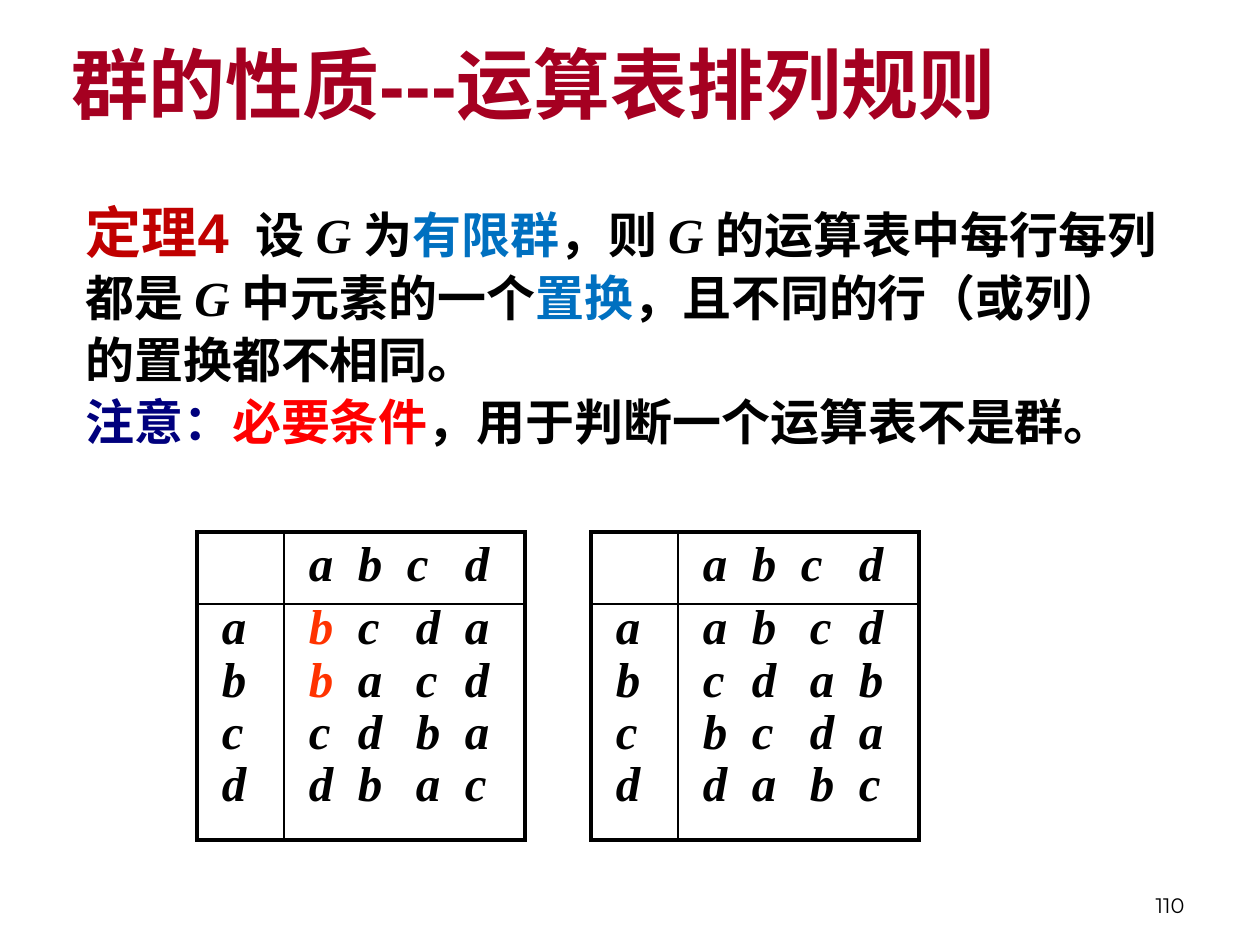
"""Build the slide on the arrangement rules of group operation tables."""
from dataclasses import dataclass

from lxml.etree import SubElement
from pptx import Presentation
from pptx.dml.color import RGBColor
from pptx.enum.text import MSO_ANCHOR, MSO_AUTO_SIZE, PP_ALIGN
from pptx.oxml.ns import qn
from pptx.util import Emu, Pt


@dataclass(frozen=True)
class Theme:
    black: str = "000000"
    crimson: str = "A50021"
    dark_red: str = "C00000"
    blue: str = "0070C0"
    navy: str = "00007D"
    red: str = "FF0000"
    orange: str = "FF3300"
    title_size: int = 44
    theorem_size: int = 32
    text_size: int = 28
    number_size: int = 12
    thick: float = 2.25
    thin: float = 1
    space: int = 5


def px(length):
    return Emu(round(length * 914400 / 126))


def write(para, spans):
    for text, style, color in spans:
        span = para.add_run()
        span.text = text
        for name, value in style.items():
            setattr(span.font, name, value)
        span.font.color.rgb = RGBColor.from_string(color)


theme = Theme()
heading = {"name": "Arial", "size": Pt(theme.title_size), "bold": True}
theorem = {**heading, "size": Pt(theme.theorem_size)}
prose = {**heading, "size": Pt(theme.text_size)}
symbol = {**prose, "name": "Times New Roman", "italic": True}
numbering = {"name": "Montserrat", "size": Pt(theme.number_size)}

deck = Presentation()
deck.slide_width, deck.slide_height = px(1260), px(945)
page = deck.slides.add_slide(deck.slide_layouts[5])

title = page.shapes.title
number = page.shapes.add_textbox(0, 0, 0, 0)
body = page.shapes.add_textbox(0, 0, 0, 0)
placements = [
    (title, (59, 11, 1134, 144), MSO_ANCHOR.MIDDLE),
    (number, (903, 861, 294, 63), MSO_ANCHOR.BOTTOM),
    (body, (73, 199, 1121, 287), MSO_ANCHOR.TOP),
]
for box, bounds, anchor in placements:
    box.left, box.top, box.width, box.height = map(px, bounds)
    frame = {"word_wrap": True, "auto_size": MSO_AUTO_SIZE.NONE, "vertical_anchor": anchor}
    for name, value in frame.items():
        setattr(box.text_frame, name, value)

title_para = title.text_frame.paragraphs[0]
title_para.alignment = PP_ALIGN.LEFT
write(title_para, [("群的性质---运算表排列规则", heading, theme.crimson)])
number_para = number.text_frame.paragraphs[0]
number_para.alignment = PP_ALIGN.RIGHT
write(number_para, [("110", numbering, theme.black)])

statements = [
    [
        ("定理4", theorem, theme.dark_red),
        ("  设 ", prose, theme.black),
        ("G ", symbol, theme.black),
        ("为", prose, theme.black),
        ("有限群", prose, theme.blue),
        ("，则 ", prose, theme.black),
        ("G ", symbol, theme.black),
        ("的运算表中每行每列", prose, theme.black),
    ],
    [
        ("都是 ", prose, theme.black),
        ("G ", symbol, theme.black),
        ("中元素的一个", prose, theme.black),
        ("置换", prose, theme.blue),
        ("，且不同的行（或列）", prose, theme.black),
    ],
    [("的置换都不相同。", prose, theme.black)],
    [
        ("注意：", prose, theme.navy),
        ("必要条件", prose, theme.red),
        ("，用于判断一个运算表不是群。", prose, theme.black),
    ],
]
for index, spans in enumerate(statements):
    para = body.text_frame.add_paragraph() if index else body.text_frame.paragraphs[0]
    properties = para._p.get_or_add_pPr()
    properties.set("marL", str(px(48)))
    properties.set("indent", str(px(-48)))
    para.line_spacing = 0.9
    para.space_before = Pt(theme.space if index else 0)
    write(para, spans)

elements = "abcd"
operations = [
    (197, ["bcda", "bacd", "cdba", "dbac"], {0, 1}),
    (591, ["abcd", "cdab", "bcda", "dabc"], set()),
]
column_widths, row_heights = (87, 241), (72, 236)
for left, products, marked_rows in operations:
    grid = page.shapes.add_table(
        2, 2, px(left), px(532), px(sum(column_widths)), px(sum(row_heights))
    ).table
    grid.first_row = grid.horz_banding = False
    for column, width in zip(grid.columns, column_widths):
        column.width = px(width)
    for row, height in zip(grid.rows, row_heights):
        row.height = px(height)
    contents = {(0, 0): [], (0, 1): [elements], (1, 0): list(elements), (1, 1): products}
    for (row, column), lines in contents.items():
        cell = grid.cell(row, column)
        cell.margin_left = px(25)
        outer = {"lnL": column == 0, "lnR": column == 1, "lnT": row == 0, "lnB": row == 1}
        for side, is_outer in outer.items():
            weight = Pt(theme.thick if is_outer else theme.thin)
            border = SubElement(cell._tc.get_or_add_tcPr(), qn("a:" + side), w=str(weight))
            paint = SubElement(border, qn("a:solidFill"))
            SubElement(paint, qn("a:srgbClr"), val=theme.black)
        cell.fill.background()
        for index, letters in enumerate(lines):
            para = cell.text_frame.add_paragraph() if index else cell.text_frame.paragraphs[0]
            if len(letters) > 1:
                tabs = SubElement(para._p.get_or_add_pPr(), qn("a:tabLst"))
                for stop in (49, 107 if row else 98, 156):
                    SubElement(tabs, qn("a:tab"), pos=str(px(stop)), algn="l")
            para.line_spacing = 0.8 if row else 1.0
            para.space_before = Pt(theme.space if index else 0)
            marked = row == column == 1 and index in marked_rows
            spans = [(letters[0], symbol, theme.orange if marked else theme.black)]
            if len(letters) > 1:
                spans.append(("\t" + "\t".join(letters[1:]), symbol, theme.black))
            write(para, spans)

deck.save("out.pptx")
